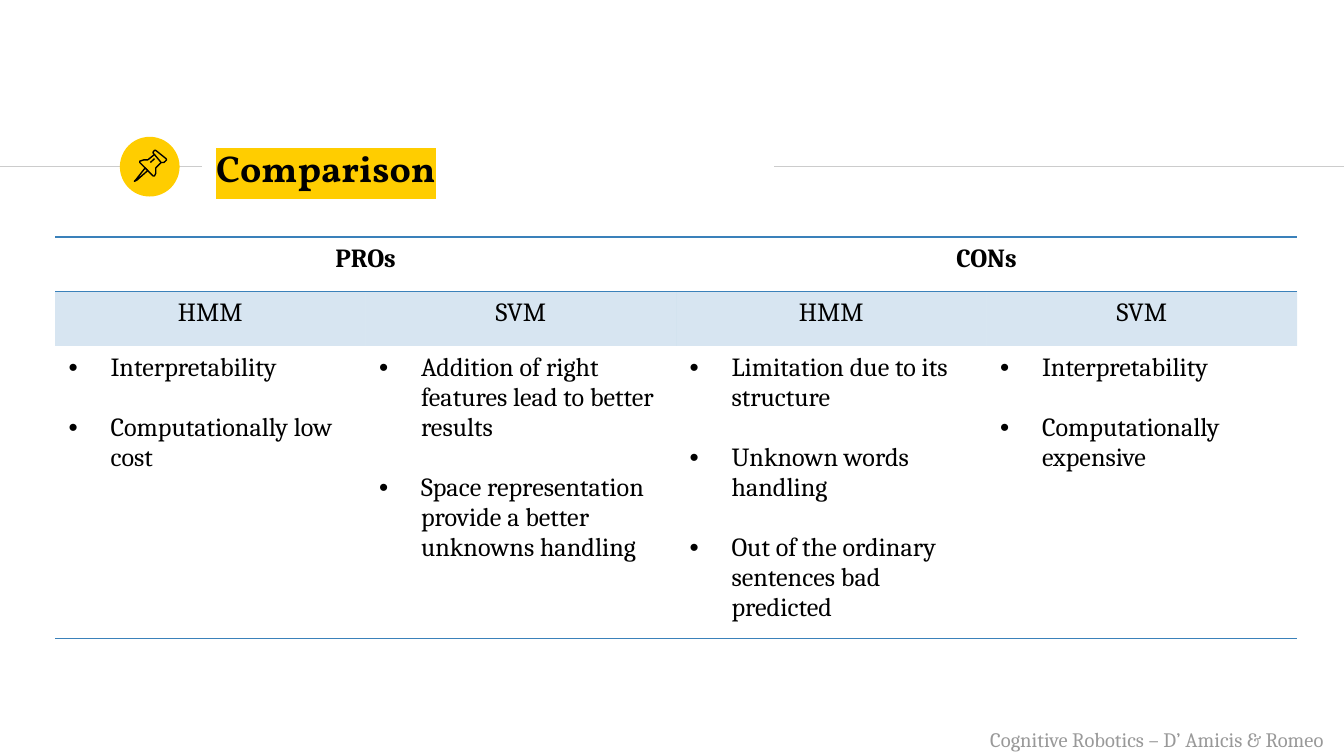
from pptx import Presentation
from pptx.dml.color import RGBColor
from pptx.enum.shapes import MSO_CONNECTOR as Connector, MSO_SHAPE as Shape
from pptx.enum.text import MSO_ANCHOR as Anchor, PP_ALIGN as Align
from pptx.oxml import parse_xml
from pptx.oxml.ns import nsdecls, qn
from pptx.util import Pt

YELLOW, BLUE, BLACK, GREY, SILVER = "FFCD00", "3A81BA", "000000", "999999", "CCCCCC"
BODY_FONT, TITLE_FONT = "Cambria", "Vollkorn"
NO_GRID_STYLE = "{2D5ABB26-0587-4C30-8999-92F81FD0307C}"
RULE_Y = 89.3
PIN_PARTS = [
    ([(77.8, 90), (72.7, 96.5), (72, 97.2), (73.4, 96.5), (79.2, 91.4)], True),
    ([(82.8, 82.8), (86.4, 87.1), (87.8, 87.1), (88.6, 86.4), (89.3, 85.7),
      (89, 85), (83.5, 80.6), (82.8, 80.6), (82.1, 81.4), (82.1, 82.1)], True),
    ([(82.8, 82.8), (79.2, 85.7), (77, 85.7), (74.9, 86.4), (74.9, 87.1),
      (82.1, 94.3), (82.8, 94.3), (83.5, 92.9), (83.5, 90), (86.4, 87.1)], False),
    ([(80.6, 87.1), (82.8, 85)], False),
]
HEADINGS = ["PROs", "CONs"]
COLUMNS = [
    ("HMM", ["Interpretability", "Computationally low cost"]),
    ("SVM", ["Addition of right features lead to better results",
             "Space representation provide a better unknowns handling"]),
    ("HMM", ["Limitation due to its structure", "Unknown words handling",
             "Out of the ordinary sentences bad predicted"]),
    ("SVM", ["Interpretability", "Computationally expensive"]),
]


def color(value):
    return RGBColor.from_string(value)


def xml(markup):
    name, rest = markup.split(" ", 1)
    return parse_xml(f"{name} {nsdecls('a')} {rest}")


class SlideBuilder:
    """Hold the style and the current slide, and draw each kind of element."""

    def __init__(self, slide):
        self.slide = slide
        self.shapes = slide.shapes

    def rule(self, start, end, y):
        line = self.shapes.add_connector(Connector.STRAIGHT, Pt(start), Pt(y), Pt(end), Pt(y))
        line.line.color.rgb = color(SILVER)
        line.line.width = Pt(0.75)
        line._element.spPr.append(xml("<a:effectLst />"))

    def circle(self, left, top, size):
        shape = self.shapes.add_shape(Shape.OVAL, Pt(left), Pt(top), Pt(size), Pt(size))
        shape.shadow.inherit = False
        shape.fill.solid()
        shape.fill.fore_color.rgb = color(YELLOW)
        shape.line.fill.background()

    def outline(self, points, closed):
        corners = [(Pt(x), Pt(y)) for x, y in points]
        builder = self.shapes.build_freeform(*corners[0])
        builder.add_line_segments(corners[1:], close=closed)
        shape = builder.convert_to_shape()
        shape.shadow.inherit = False
        shape.fill.background()
        shape.line.color.rgb = color(BLACK)
        shape.line.width = Pt(0.75)

    def run(self, paragraph, text, size=14, font=BODY_FONT, fill=BLACK, bold=False):
        run = paragraph.add_run()
        run.text = text
        run.font.size = Pt(size)
        run.font.name = font
        run.font.bold = bold
        run.font.color.rgb = color(fill)
        return run

    def text_box(self, left, top, width, height, wrap=True, inset=3.6):
        box = self.shapes.add_textbox(Pt(left), Pt(top), Pt(width), Pt(height))
        frame = box.text_frame
        frame.word_wrap = wrap
        frame.margin_top = frame.margin_bottom = Pt(inset)
        return frame

    def title(self, text):
        frame = self.text_box(108.7, 72.7, 305.3, 34.6, inset=7.2)
        frame.vertical_anchor = Anchor.MIDDLE
        run = self.run(frame.paragraphs[0], text, 20, TITLE_FONT, bold=True)
        fill = run.font._element.find(qn("a:solidFill"))
        fill.addnext(xml(f'<a:highlight ><a:srgbClr val="{YELLOW}"/></a:highlight>'))

    def footer(self, text):
        frame = self.text_box(523.4, 385.9, 203, 20.9, wrap=False)
        self.run(frame.paragraphs[0], text, 11, fill=GREY)

    def table(self, left, top, column_width, heights):
        size = len(heights), len(COLUMNS)
        frame = self.shapes.add_table(*size, Pt(left), Pt(top),
                                      Pt(column_width * size[1]), Pt(sum(heights)))
        table = frame.table
        table.first_row = table.horz_banding = False
        table._tbl.tblPr.find(qn("a:tableStyleId")).text = NO_GRID_STYLE
        for column in table.columns:
            column.width = Pt(column_width)
        for row, height in zip(table.rows, heights):
            row.height = Pt(height)
        return table

    def cell_style(self, cell, tinted=False, borders=()):
        if tinted:
            cell.fill.solid()
            cell.fill.fore_color.rgb = color(BLUE)
            tint = next(cell._tc.tcPr.iter(qn("a:srgbClr")))
            tint.append(xml('<a:alpha val="20000"/>'))
        else:
            cell.fill.background()
        for index, side in enumerate(borders):
            cell._tc.tcPr.insert(index, xml(
                f'<a:ln{side} w="{Pt(1)}"><a:solidFill><a:srgbClr val="{BLUE}"/>'
                f'</a:solidFill></a:ln{side}>'))

    def cell_label(self, cell, text, bold=False):
        paragraph = cell.text_frame.paragraphs[0]
        paragraph.alignment = Align.CENTER
        self.run(paragraph, text, bold=bold)

    def cell_bullets(self, cell, items):
        frame = cell.text_frame
        for index, item in enumerate(items):
            paragraph = frame.add_paragraph() if index else frame.paragraphs[0]
            paragraph.space_before = Pt(16 if index else 0)
            properties = paragraph._p.get_or_add_pPr()
            properties.set("marL", str(Pt(22.5)))
            properties.set("indent", str(-Pt(22.5)))
            properties.append(xml('<a:buFont typeface="Arial"/>'))
            properties.append(xml('<a:buChar char="•"/>'))
            self.run(paragraph, item)


def main():
    presentation = Presentation()
    presentation.slide_width, presentation.slide_height = Pt(720), Pt(405)
    builder = SlideBuilder(presentation.slides.add_slide(presentation.slide_layouts[6]))

    builder.rule(0, 108, RULE_Y)
    builder.circle(64.2, 73.3, 32)
    builder.rule(414.7, 720, RULE_Y)
    builder.title("Comparison")

    table = builder.table(29.5, 126.9, 166.35, [29.2, 29.2, 152])
    for index, heading in enumerate(HEADINGS):
        first = table.cell(0, 2 * index)
        first.merge(table.cell(0, 2 * index + 1))
        builder.cell_label(first, heading, bold=True)
    for index, (method, points) in enumerate(COLUMNS):
        builder.cell_style(table.cell(0, index), borders="TB")
        builder.cell_style(table.cell(1, index), tinted=True)
        builder.cell_label(table.cell(1, index), method)
        builder.cell_style(table.cell(2, index), borders="B")
        builder.cell_bullets(table.cell(2, index), points)

    for points, closed in PIN_PARTS:
        builder.outline(points, closed)
    builder.footer("Cognitive Robotics – D’ Amicis & Romeo")
    presentation.save("out.pptx")


if __name__ == "__main__":
    main()
